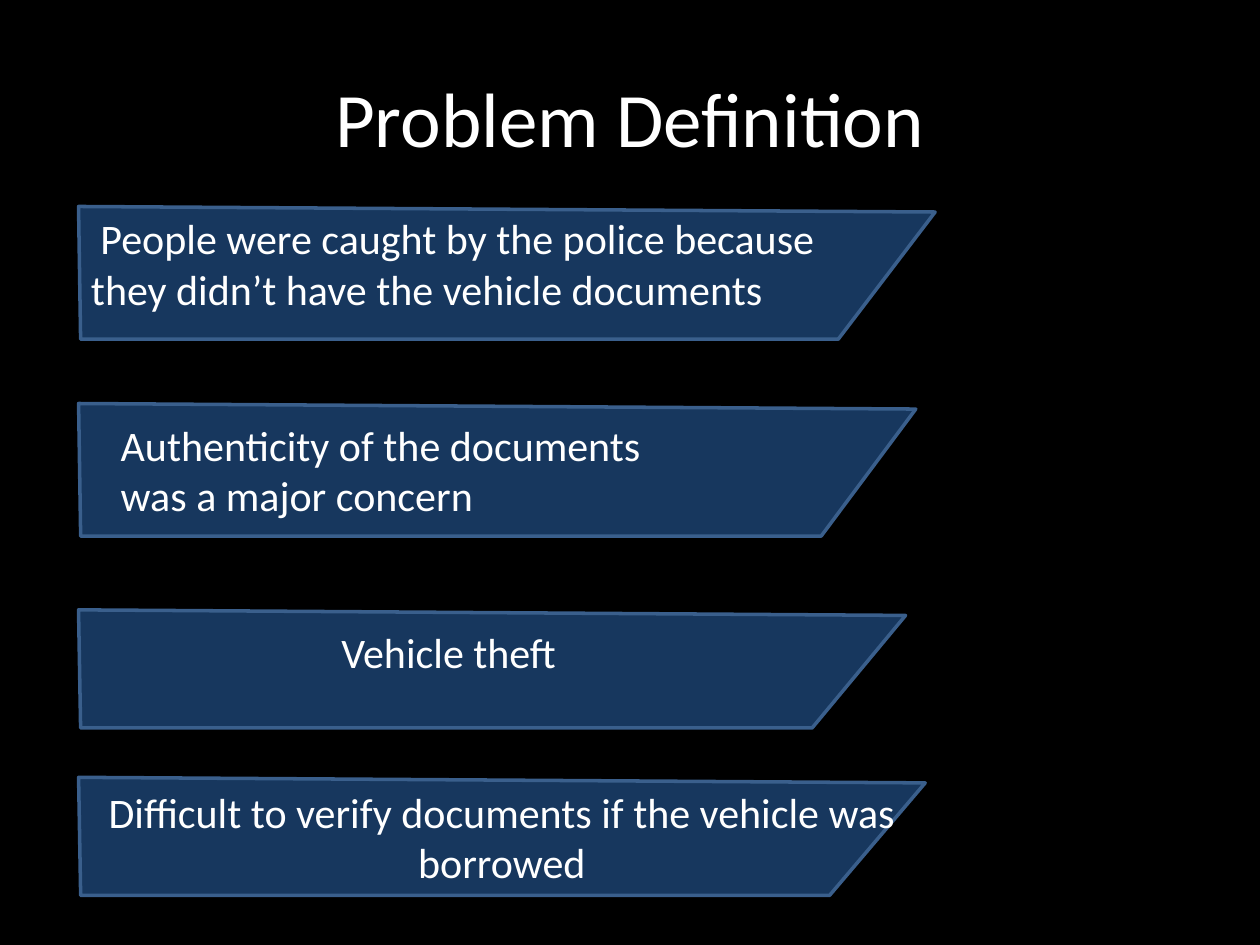
from pptx import Presentation
from pptx.dml.color import RGBColor
from pptx.enum.text import MSO_ANCHOR, PP_ALIGN
from pptx.oxml.ns import qn
from pptx.util import Pt
from lxml.etree import SubElement

BLACK = RGBColor(0x00, 0x00, 0x00)
WHITE = RGBColor(0xFF, 0xFF, 0xFF)
NAVY = RGBColor(0x17, 0x37, 0x5E)
STEEL = RGBColor(0x3A, 0x5F, 0x8C)
FONT = "Calibri"

# Content: banner top, width and height
TITLE = "Problem Definition"
BANNERS = [
    (118, 489.5, 75.8),
    (230.6, 478.4, 75.8),
    (348.5, 472.6, 67.5),
    (444.2, 483.8, 67.5),
]
# Text boxes: text, left, top, width, height
CAUGHT_AND_AUTHENTICITY = [
    (" People were caught by the police because they didn\u2019t have the vehicle documents",
     44.9, 118, 461.5, 94.3),
    ("Authenticity of the documents was a major concern", 61.9, 236.2, 343.4, 65.5),
]
THEFT = ("Vehicle theft ", 73.4, 354.2, 371.5, 61.9)
BORROWED = "Difficult to verify documents if the vehicle was borrowed"

BANNER_LEFT = 44.9
FOOT_INSET, TOP_DROP, FOOT_RATIO = 1.2, 3.2, 0.887


def place(shape, left, top, width, height):
    shape.left, shape.top = Pt(left), Pt(top)
    shape.width, shape.height = Pt(width), Pt(height)


def write(shape, text, size=24, alignment=PP_ALIGN.LEFT):
    shape.text_frame.text = text
    shape.text_frame.word_wrap = True
    paragraph = shape.text_frame.paragraphs[0]
    paragraph.alignment = alignment
    font = paragraph.runs[0].font
    font.name, font.size = FONT, Pt(size)
    font.color.rgb = WHITE
    return paragraph


def add_banner(slide, top, width, height):
    corners = [(0, 0), (width, TOP_DROP), (width * FOOT_RATIO, height)]
    points = [(Pt(BANNER_LEFT + x), Pt(top + y)) for x, y in corners]
    builder = slide.shapes.build_freeform(
        Pt(BANNER_LEFT + FOOT_INSET), Pt(top + height), scale=1.0)
    builder.add_line_segments(points, close=True)
    banner = builder.convert_to_shape()
    banner.shadow.inherit = False
    banner.fill.solid()
    banner.fill.fore_color.rgb = NAVY
    banner.line.color.rgb = STEEL
    banner.line.width = Pt(2)
    return banner


presentation = Presentation()
presentation.slide_width, presentation.slide_height = Pt(720), Pt(540)
slide = presentation.slides.add_slide(presentation.slide_layouts[1])
slide.background.fill.solid()
slide.background.fill.fore_color.rgb = BLACK

# Title
title = slide.shapes.title
place(title, 36, 21.6, 648, 90)
title.fill.solid()
title.fill.fore_color.rgb = BLACK
write(title, TITLE, 44, PP_ALIGN.CENTER)

# Banners, the last one carrying its own text
banners = [add_banner(slide, *banner) for banner in BANNERS]
write(banners[-1], BORROWED, alignment=PP_ALIGN.CENTER)
banners[-1].text_frame.vertical_anchor = MSO_ANCHOR.MIDDLE

# Body placeholder, brought in front of its banner, without bullet
body = slide.placeholders[1]
theft_text, *theft_box = THEFT
place(body, *theft_box)
theft = write(body, theft_text, alignment=PP_ALIGN.CENTER)
SubElement(theft._p.get_or_add_pPr(), qn("a:buNone"))
slide.shapes._spTree.append(body._element)

# Text over the first two banners
for text, *box in CAUGHT_AND_AUTHENTICITY:
    write(slide.shapes.add_textbox(*map(Pt, box)), text)

presentation.save("out.pptx")
